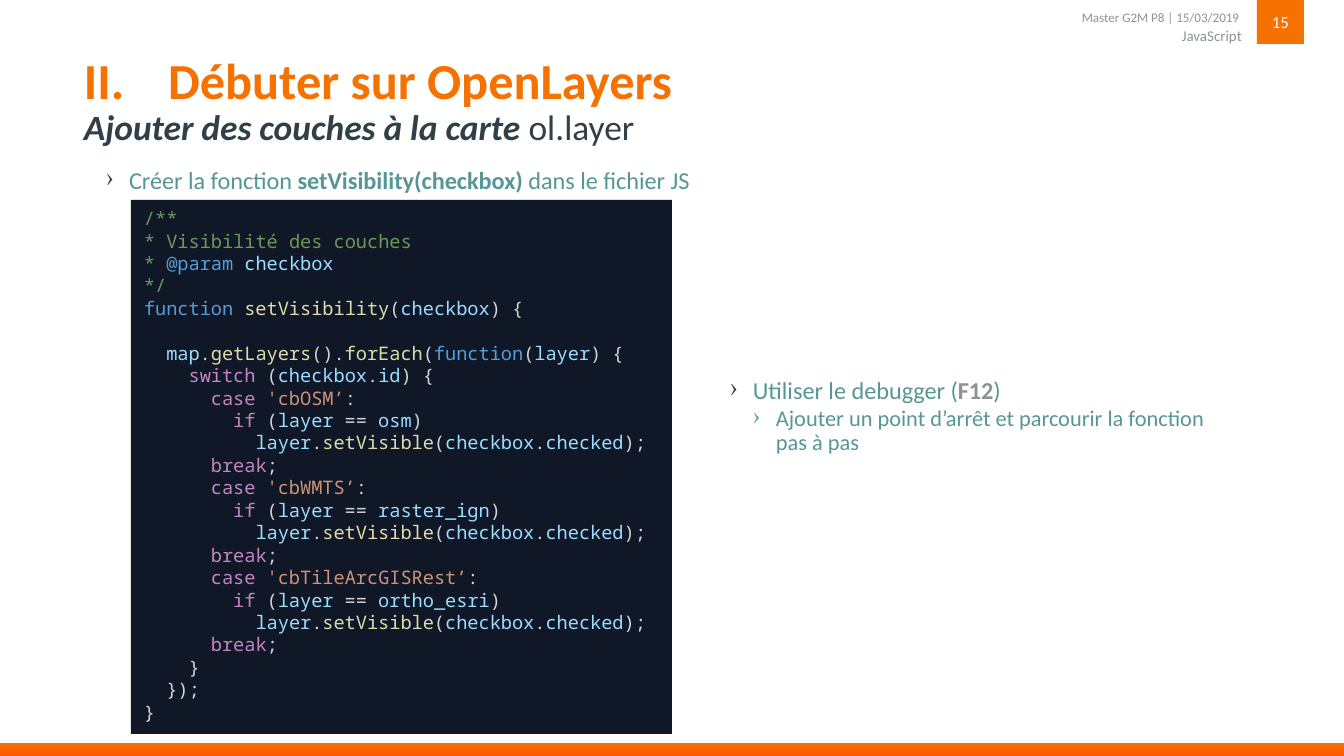
import copy

import lxml.etree
import pptx
import pptx.dml.color
import pptx.enum.shapes
import pptx.enum.text
import pptx.oxml.ns
import pptx.util

SCALE = 914400 / 134.4
ALIGN = pptx.enum.text.PP_ALIGN
ANCHOR = pptx.enum.text.MSO_ANCHOR
ORANGE, DARK, TEAL, GRAY = "F57100", "303F48", "579696", "8F9395"

SYNTAX = {
    "comment": "6A9955", "key": "569CD6", "name": "9CDCFE", "call": "DCDCAA",
    "plain": "D4D4D4", "flow": "C586C0", "string": "CE9178",
}


def px(value):
    return pptx.util.Emu(round(value * SCALE))


def color(value):
    return pptx.dml.color.RGBColor.from_string(value)


class SlideBuilder:
    font = "Calibri"

    def __init__(self, deck):
        self.slide = deck.slides.add_slide(deck.slide_layouts[6])

    def rectangle(self, left, top, width, height, fill):
        shape = self.slide.shapes.add_shape(
            pptx.enum.shapes.MSO_SHAPE.RECTANGLE, px(left), px(top), px(width), px(height))
        shape.shadow.inherit = False
        shape.line.fill.background()
        if isinstance(fill, str):
            shape.fill.solid()
            shape.fill.fore_color.rgb = color(fill)
        else:
            shape.fill.gradient()
            shape.fill.gradient_angle = 90
            for stop, value in zip(shape.fill.gradient_stops, fill):
                stop.color.rgb = color(value)
        return shape

    def text_box(self, left, top, width, height, **frame_format):
        box = self.slide.shapes.add_textbox(px(left), px(top), px(width), px(height))
        return self.frame(box, **frame_format)

    def frame(self, shape, side=0, edge=0, anchor=ANCHOR.TOP):
        frame = shape.text_frame
        values = {
            "word_wrap": True, "vertical_anchor": anchor,
            "margin_left": px(side), "margin_right": px(side),
            "margin_top": px(edge), "margin_bottom": px(edge),
        }
        for name, value in values.items():
            setattr(frame, name, value)
        return frame

    def paragraph(self, frame, spans, bullet=None, **para_format):
        first = frame.paragraphs[0]
        para = frame.add_paragraph() if first.runs else first
        for name, value in ({"alignment": ALIGN.LEFT} | para_format).items():
            setattr(para, name, value)
        if bullet:
            self.bullet(para, **bullet)
        for text, span_format in spans:
            self.span(para, text, **span_format)

    def bullet(self, para, indent, hanging, tag, tint=None, **attributes):
        properties = para._p.get_or_add_pPr()
        properties.set("marL", str(px(indent)))
        properties.set("indent", str(px(-hanging)))
        qualified = pptx.oxml.ns.qn
        if tint:
            holder = lxml.etree.SubElement(properties, qualified("a:buClr"))
            lxml.etree.SubElement(holder, qualified("a:srgbClr"), val=tint)
        lxml.etree.SubElement(properties, qualified(tag), **attributes)

    def span(self, para, text, size, tint, **font_format):
        starts_with_break = text.startswith("\n")
        if starts_with_break:
            para.add_line_break()
        span = para.add_run()
        span.text = text.lstrip("\n")
        values = {"name": self.font, "size": pptx.util.Pt(size)} | font_format
        for name, value in values.items():
            setattr(span.font, name, value)
        span.font.color.rgb = color(tint)
        if starts_with_break:
            span._r.getprevious().append(copy.deepcopy(span._r.rPr))

    def code(self, left, top, width, height, lines):
        shape = self.rectangle(left, top, width, height, "101828")
        frame = self.frame(shape, side=13, edge=7)
        for line in lines:
            tokens = [token.partition(":") for token in line.split("|")]
            self.paragraph(frame, [
                (text, {"size": 10, "tint": SYNTAX[role], "name": "Noto Sans Mono"})
                for role, _, text in tokens])


def case_lines(label, layer):
    return [
        f"flow:      case |string:'{label}’|plain::",
        f"flow:        if|plain: (|name:layer|plain: == |name:{layer}|plain:)",
        "name:          layer|plain:.|call:setVisible|plain:(|name:checkbox"
        "|plain:.|name:checked|plain:);",
        "flow:      break|plain:;",
    ]


CODE = [
    "comment:/**",
    "comment:* Visibilité des couches",
    "comment:* |key:@param |name:checkbox",
    "comment:*/",
    "key:function |call:setVisibility|plain:(|name:checkbox|plain:) {",
    "plain:\n  |name:map|plain:.|call:getLayers|plain:().|call:forEach|plain:("
    "|key:function|plain:(|name:layer|plain:) {",
    "flow:    switch|plain: (|name:checkbox|plain:.|name:id|plain:) {",
    *case_lines("cbOSM", "osm"),
    *case_lines("cbWMTS", "raster_ign"),
    *case_lines("cbTileArcGISRest", "ortho_esri"),
    "plain:    }",
    "plain:  });",
    "plain:}",
]


def main():
    deck = pptx.Presentation()
    deck.slide_width, deck.slide_height = px(1344), px(756)
    builder = SlideBuilder(deck)
    builder.rectangle(0, 743, 1344, 13, ["FF5800", ORANGE])

    chevron = {"tag": "a:buChar", "char": "›", "hanging": 23}
    item = {"bullet": chevron | {"indent": 45, "tint": DARK}, "line_spacing": 0.9}
    body = {"size": 13, "tint": TEAL}

    frame = builder.text_box(84, 168, 646, 32)
    builder.paragraph(frame, [
        ("Créer la fonction ", body),
        ("setVisibility(checkbox)", body | {"bold": True}),
        (" dans le fichier JS", body)], **item)

    frame = builder.text_box(462, 11, 792, 33, side=12, anchor=ANCHOR.BOTTOM)
    builder.paragraph(frame, [("JavaScript", {"size": 8, "tint": GRAY})], alignment=ALIGN.RIGHT)

    page_number = builder.rectangle(1257, 0, 47, 44, ORANGE)
    frame = builder.frame(page_number, edge=5, anchor=ANCHOR.MIDDLE)
    builder.paragraph(frame, [("15", {"size": 9, "tint": "FFFFFF"})], alignment=ALIGN.CENTER)

    frame = builder.text_box(84, 56, 1170, 55, anchor=ANCHOR.MIDDLE)
    numeral = {"tag": "a:buAutoNum", "type": "romanUcPeriod", "startAt": "2",
               "indent": 84, "hanging": 84}
    builder.paragraph(
        frame, [("Débuter sur OpenLayers", {"size": 27, "tint": ORANGE, "bold": True})],
        bullet=numeral, line_spacing=0.9)

    frame = builder.text_box(84, 113, 1170, 55)
    subtitle = {"size": 19, "tint": DARK}
    builder.paragraph(frame, [
        ("Ajouter des couches à la carte ", subtitle | {"bold": True, "italic": True}),
        ("ol.layer", subtitle)], line_spacing=0.8)

    frame = builder.text_box(462, 11, 792, 12, side=12, edge=5, anchor=ANCHOR.MIDDLE)
    builder.paragraph(frame, [("Master G2M P8 | 15/03/2019 ", {"size": 7, "tint": GRAY})],
                      alignment=ALIGN.RIGHT)

    builder.code(131, 200, 541, 534, CODE)

    frame = builder.text_box(708, 378, 504, 177)
    builder.paragraph(frame, [
        ("Utiliser le debugger (", body),
        ("F12", {"size": 13, "tint": "8E9295", "bold": True}),
        (")", body)], **item)
    builder.paragraph(
        frame,
        [("Ajouter un point d’arrêt et parcourir la fonction pas à pas", {"size": 12, "tint": TEAL})],
        bullet=chevron | {"indent": 68}, line_spacing=0.9, space_before=pptx.util.Pt(1.7))

    deck.save("out.pptx")


if __name__ == "__main__":
    main()
